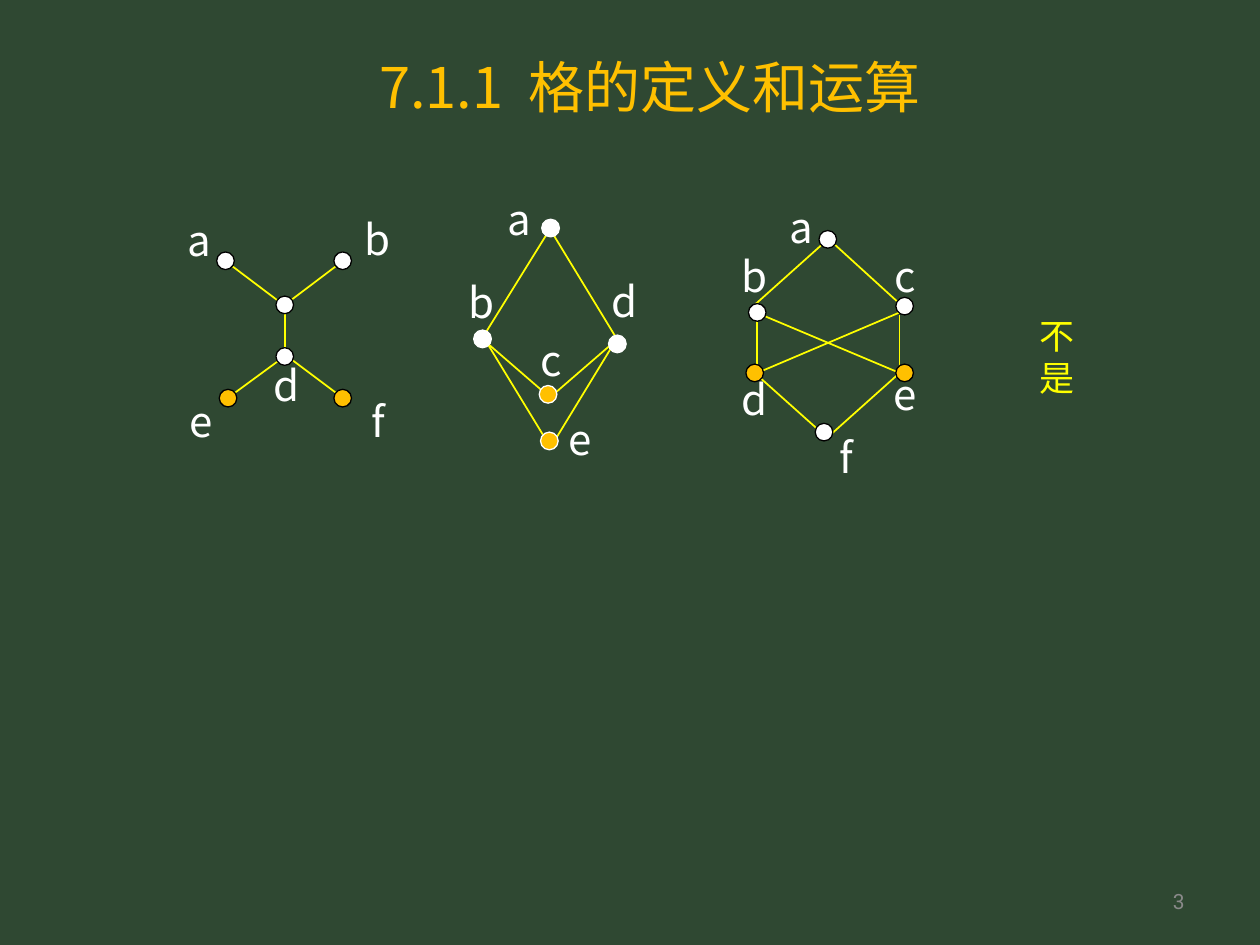
import pptx
import pptx.util
import pptx.dml.color
import pptx.enum.shapes
import pptx.enum.text
import pptx.oxml.ns
import lxml.etree

Inches = pptx.util.Inches
ALIGN = pptx.enum.text.PP_ALIGN
ANCHOR = pptx.enum.text.MSO_ANCHOR
CJK = "Noto Sans CJK SC"
WHITE, BLACK, GOLD, YELLOW = "FFFFFF", "000000", "FFC000", "FFFF00"
DOT = 0.14


def rgb(value):
    return pptx.dml.color.RGBColor.from_string(value)


def add_text(text, left, top, width, height, size=24, color=WHITE, font=CJK,
             align=ALIGN.CENTER, anchor=ANCHOR.MIDDLE, wrap=True):
    box = slide.shapes.add_textbox(Inches(left), Inches(top), Inches(width), Inches(height))
    frame = box.text_frame
    frame.word_wrap = wrap
    frame.vertical_anchor = anchor
    paragraph = frame.paragraphs[0]
    paragraph.alignment = align
    run = paragraph.add_run()
    run.text = text
    run.font.size = pptx.util.Pt(size)
    run.font.name = font
    run.font.color.rgb = rgb(color)
    east_asian = lxml.etree.SubElement(run.font._element, pptx.oxml.ns.qn("a:ea"))
    east_asian.set("typeface", font)


presentation = pptx.Presentation()
presentation.slide_width = Inches(10)
presentation.slide_height = Inches(7.5)
slide = presentation.slides.add_slide(presentation.slide_layouts[6])
slide.background.fill.solid()
slide.background.fill.fore_color.rgb = rgb("2F4832")

add_text("7.1.1  格的定义和运算", 0.9, 0.36, 8.52, 0.65, size=32, color=GOLD)
add_text("3", 7.17, 6.95, 2.33, 0.4, size=12, color="898989", font="Roboto", align=ALIGN.RIGHT)
add_text("不是", 8.15, 2.45, 0.75, 0.44, size=20, color=YELLOW,
         align=ALIGN.LEFT, anchor=ANCHOR.TOP, wrap=False)

hasse_diagrams = [
    {
        "outline": BLACK,
        "labels": [("a", 1.31, 1.71, 0.55), ("b", 2.72, 1.7, 0.55), ("d", 2, 2.86, 0.55),
                   ("e", 1.32, 3.14, 0.55), ("f", 2.73, 3.14, 0.55)],
        "edges": [(2.26, 2.83, 2.26, 2.42), (2.26, 2.42, 2.71, 2.08), (1.8, 2.08, 2.25, 2.42),
                  (2.27, 2.82, 2.71, 3.15), (1.82, 3.15, 2.27, 2.82)],
        "nodes": [(2.65, 2, WHITE), (1.72, 2, WHITE), (2.19, 2.35, WHITE),
                  (2.19, 2.76, WHITE), (1.74, 3.09, GOLD), (2.65, 3.09, GOLD)],
    },
    {
        "outline": WHITE,
        "labels": [("a", 3.8, 1.54, 0.64), ("b", 3.55, 2.2, 0.55), ("c", 4.1, 2.66, 0.55),
                   ("d", 4.68, 2.19, 0.55), ("e", 4.33, 3.29, 0.55)],
        "edges": [(3.84, 2.68, 4.37, 3.55), (4.37, 3.15, 4.89, 2.7), (4.37, 3.55, 4.9, 2.68),
                  (3.84, 2.7, 4.36, 3.15), (3.83, 2.68, 4.37, 1.81), (4.36, 1.81, 4.89, 2.68)],
        "nodes": [(4.3, 1.74, WHITE), (3.76, 2.62, WHITE), (4.83, 2.66, WHITE),
                  (4.29, 3.43, GOLD), (4.28, 3.06, GOLD)],
    },
    {
        "outline": BLACK,
        "labels": [("a", 6.04, 1.6, 0.64), ("b", 5.71, 1.99, 0.55), ("c", 6.91, 1.99, 0.55),
                   ("d", 5.71, 2.97, 0.55), ("e", 6.91, 2.93, 0.55), ("f", 6.44, 3.43, 0.55)],
        "edges": [(6, 2.48, 7.14, 2.96), (6, 2.41, 6.57, 1.9), (6.58, 1.9, 7.14, 2.41),
                  (6.01, 2.96, 7.14, 2.48), (5.99, 2.96, 6.56, 3.47), (6.57, 3.47, 7.14, 2.96),
                  (7.14, 2.5, 7.14, 2.94), (6.01, 2.94, 6.01, 2.5)],
        "nodes": [(6.5, 1.83, WHITE), (5.94, 2.41, WHITE), (7.11, 2.36, WHITE),
                  (7.11, 2.89, GOLD), (5.92, 2.89, GOLD), (6.47, 3.36, WHITE)],
    },
]

for diagram in hasse_diagrams:
    for letter, left, top, width in diagram["labels"]:
        add_text(letter, left, top, width, 0.39)
    for ends in diagram["edges"]:
        edge = slide.shapes.add_connector(
            pptx.enum.shapes.MSO_CONNECTOR.STRAIGHT, *[Inches(value) for value in ends])
        edge.line.color.rgb = rgb(YELLOW)
        edge.line.width = pptx.util.Pt(1)
        lxml.etree.SubElement(edge._element.spPr, pptx.oxml.ns.qn("a:effectLst"))
    for left, top, color in diagram["nodes"]:
        node = slide.shapes.add_shape(
            pptx.enum.shapes.MSO_SHAPE.FLOWCHART_CONNECTOR,
            Inches(left), Inches(top), Inches(DOT), Inches(DOT))
        node.shadow.inherit = False
        node.fill.solid()
        node.fill.fore_color.rgb = rgb(color)
        node.line.color.rgb = rgb(diagram["outline"])
        node.line.width = pptx.util.Pt(0.75)

presentation.save("out.pptx")
